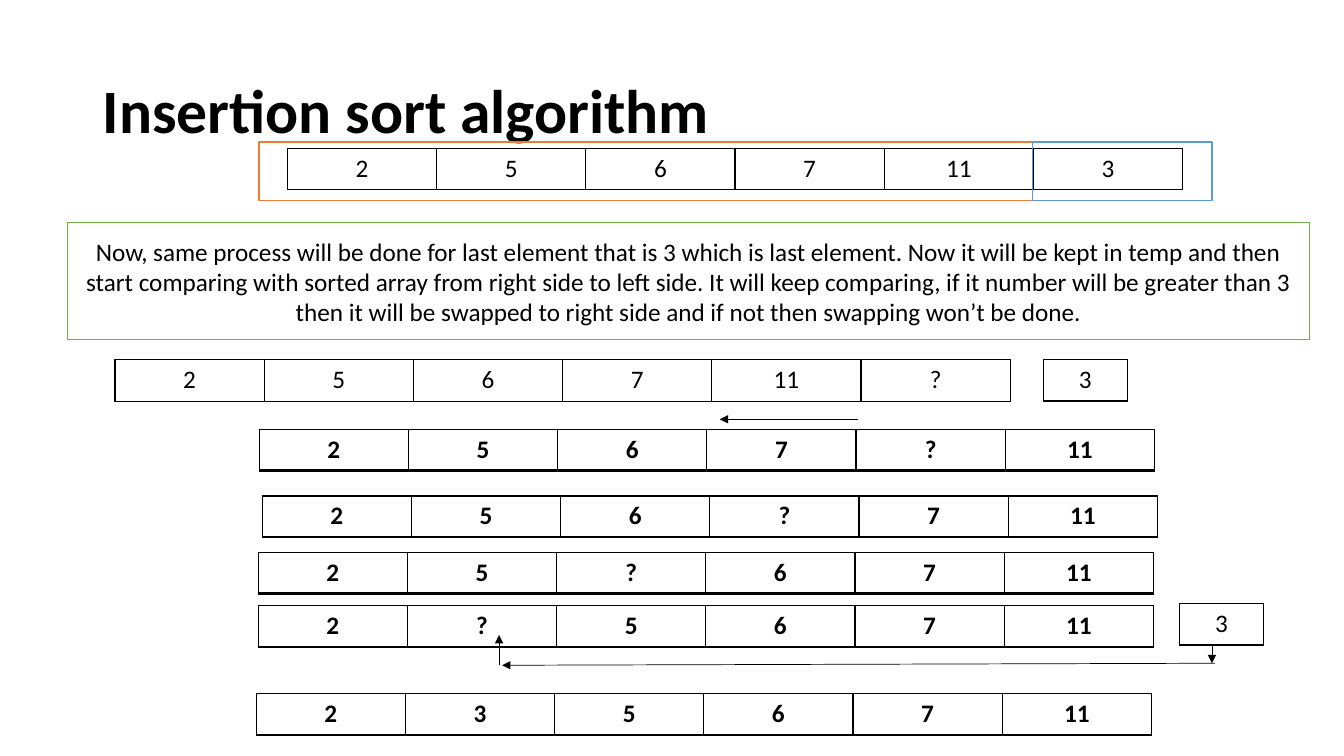
from lxml import etree
from pptx import Presentation
from pptx.dml.color import RGBColor
from pptx.enum import shapes, text
from pptx.oxml import ns
from pptx.util import Inches, Pt

# Content
TITLE = "Insertion sort algorithm"
EXPLANATION = (
    "Now, same process will be done for last element that is 3 which is last element. "
    "Now it will be kept in temp and then start comparing with sorted array from right "
    "side to left side. It will keep comparing, if it number will be greater than 3 then "
    "it will be swapped to right side and if not then swapping won’t be done."
)
# (left, top), values, bold, bottom border in points
ARRAYS = [
    ((2.85, 1.47), "2 5 6 7 11 3", False, 1),
    ((1.14, 3.57), "2 5 6 7 11 ?", False, 1),
    ((2.57, 4.26), "2 5 6 7 ? 11", True, 2),
    ((2.6, 4.92), "2 5 6 ? 7 11", True, 2),
    ((2.56, 5.48), "2 5 ? 6 7 11", True, 2),
    ((2.56, 6.01), "2 ? 5 6 7 11", True, 2),
    ((2.54, 6.88), "2 3 5 6 7 11", True, 2),
]
TEMP_VALUES = [((10.35, 3.57), "3"), ((11.7, 5.99), "3")]
# (left, top, width, height), outline colour
SORTED_FRAME = ((2.57, 1.41, 7.67, 0.58), "sorted")
NEXT_FRAME = ((10.24, 1.41, 1.78, 0.58), "next")
NOTE_BOX = ((0.67, 2.21, 12.32, 1.16), "note")
# start x, start y, end x, end y
ARROWS = [
    (8.51, 4.16, 7.14, 4.16),
    (12.05, 6.58, 4.98, 6.6),
    (4.95, 6.6, 4.95, 6.3),
    (12.02, 6.4, 12.02, 6.58),
]

THEME = {
    "font": "Calibri",
    "title_size": 44,
    "body_size": 18,
    "ink": "000000",
    "paper": "FFFFFF",
    "sorted": "ED7D31",
    "next": "5B9BD5",
    "note": "70AD47",
}
CELL_WIDTH, TEMP_WIDTH, ROW_HEIGHT = 1.48, 0.83, 0.41


def colour(name):
    return RGBColor.from_string(THEME[name])


def write(frame, words, size="body_size", bold=False, align=text.PP_ALIGN.CENTER):
    paragraph = frame.paragraphs[0]
    paragraph.alignment = align
    run = paragraph.add_run()
    run.text = words
    styles = {"name": THEME["font"], "size": Pt(THEME[size]), "bold": bold}
    for key, value in styles.items():
        setattr(run.font, key, value)
    run.font.color.rgb = colour("ink")
    return paragraph


def add_borders(cell, bottom):
    properties = cell._tc.get_or_add_tcPr()
    widths = {"lnL": 1, "lnR": 1, "lnT": 1, "lnB": bottom}
    for place, (side, points) in enumerate(widths.items()):
        border = etree.Element(ns.qn(f"a:{side}"), w=str(Pt(points)))
        fill = etree.SubElement(border, ns.qn("a:solidFill"))
        etree.SubElement(fill, ns.qn("a:srgbClr"), val=THEME["ink"])
        properties.insert(place, border)


def add_array(slide, corner, values, cell_width, bold, bottom):
    left, top = map(Inches, corner)
    table = slide.shapes.add_table(
        1, len(values), left, top, Inches(cell_width * len(values)), Inches(ROW_HEIGHT)
    ).table
    table.first_row = table.horz_banding = False
    for column, value in enumerate(values):
        table.columns[column].width = Inches(cell_width)
        cell = table.cell(0, column)
        cell.fill.background()
        add_borders(cell, bottom)
        write(cell.text_frame, value, bold=bold)


def add_frame(slide, box, outline):
    frame = slide.shapes.add_shape(shapes.MSO_SHAPE.RECTANGLE, *map(Inches, box))
    frame.shadow.inherit = False
    frame.fill.background()
    frame.line.color.rgb = colour(outline)
    frame.line.width = Pt(1)
    return frame


def add_arrow(slide, ends):
    arrow = slide.shapes.add_connector(shapes.MSO_CONNECTOR.STRAIGHT, *map(Inches, ends))
    arrow.line.color.rgb = colour("ink")
    arrow.line.width = Pt(0.5)
    etree.SubElement(arrow.line._get_or_add_ln(), ns.qn("a:tailEnd"), type="triangle")
    etree.SubElement(arrow._element.spPr, ns.qn("a:effectLst"))


def main():
    deck = Presentation()
    deck.slide_width, deck.slide_height = Inches(13.33), Inches(7.5)
    slide = deck.slides.add_slide(deck.slide_layouts[5])

    # Title
    title = slide.shapes.title
    title_box = {"left": 0.92, "top": 0.4, "width": 11.5, "height": 1.45}
    for side, inches in title_box.items():
        setattr(title, side, Inches(inches))
    title.text_frame.vertical_anchor = text.MSO_ANCHOR.MIDDLE
    heading = write(title.text_frame, TITLE, "title_size", True, text.PP_ALIGN.LEFT)
    heading.line_spacing = 0.9

    # Array after each step, and the value held in temp
    for corner, values, bold, bottom in ARRAYS:
        add_array(slide, corner, values.split(), CELL_WIDTH, bold, bottom)
    for corner, value in TEMP_VALUES:
        add_array(slide, corner, [value], TEMP_WIDTH, False, 2)

    # Frames round the sorted part and the next element
    for box, outline in (SORTED_FRAME, NEXT_FRAME):
        add_frame(slide, box, outline)

    # Explanation
    note = add_frame(slide, *NOTE_BOX)
    note.fill.solid()
    note.fill.fore_color.rgb = colour("paper")
    note.text_frame.word_wrap = True
    note.text_frame.vertical_anchor = text.MSO_ANCHOR.MIDDLE
    write(note.text_frame, EXPLANATION)

    # Moves
    for ends in ARROWS:
        add_arrow(slide, ends)

    deck.save("out.pptx")


if __name__ == "__main__":
    main()
